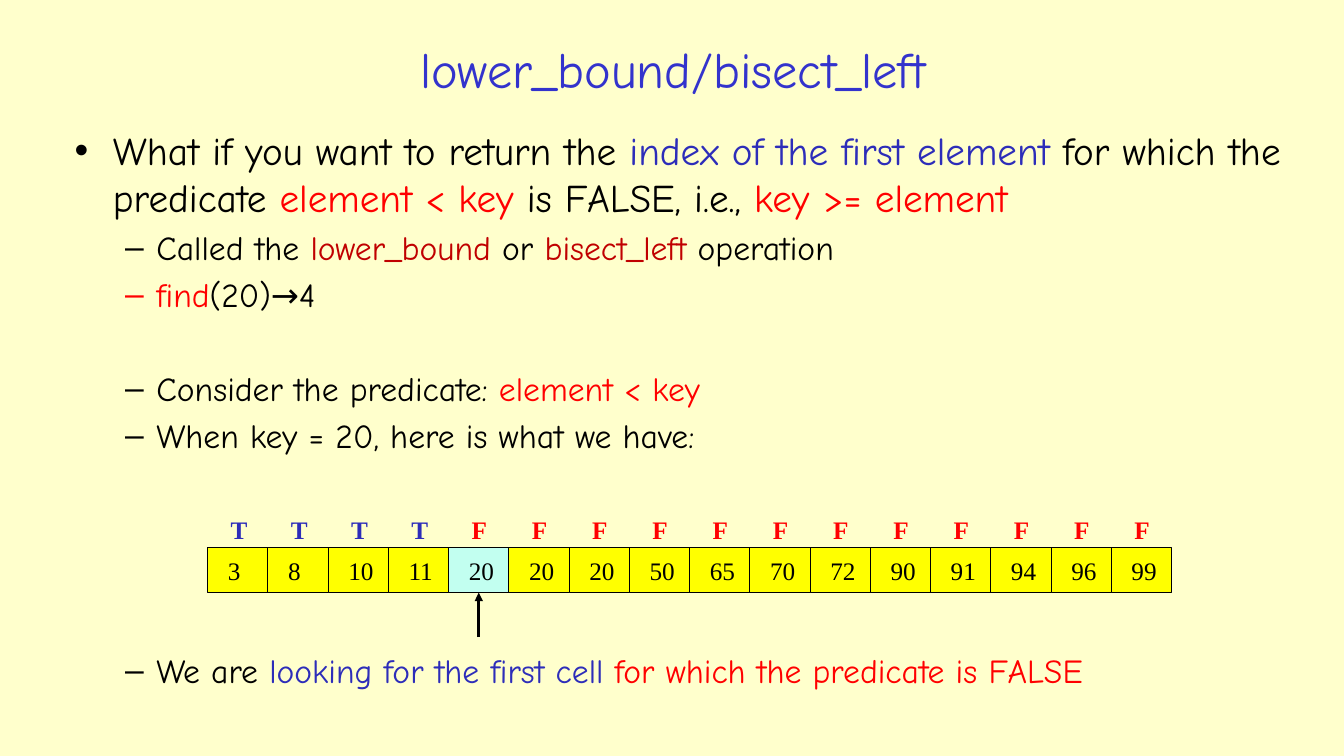
from lxml import etree
from pptx import Presentation
from pptx.dml.color import RGBColor
from pptx.enum import shapes, text
from pptx.oxml.ns import qn
from pptx.util import Inches, Pt

CREAM = RGBColor(0xFF, 0xFF, 0xCC)
TITLE_BLUE = RGBColor(0x33, 0x33, 0xCC)
BLUE = RGBColor(0x2D, 0x2D, 0xB9)
RED = RGBColor(0xFF, 0x00, 0x00)
DARK_RED = RGBColor(0xC0, 0x00, 0x00)
BLACK = RGBColor(0x00, 0x00, 0x00)
YELLOW = RGBColor(0xFF, 0xFF, 0x00)
AQUA = RGBColor(0xC2, 0xFF, 0xF0)

SANS = "Comic Neue"
SERIF = "Times New Roman"

KEY = 20
VALUES = [3, 8, 10, 11, 20, 20, 20, 50, 65, 70, 72, 90, 91, 94, 96, 99]

# Each point: level, space before in points, coloured runs.
POINTS = [
    (0, 0, [("What if you want to return the ", BLACK),
            ("index of the first element ", BLUE),
            ("for which the predicate ", BLACK),
            ("element < key ", RED),
            ("is FALSE, i.e., ", BLACK),
            ("key >= element", RED)]),
    (1, 4.8, [("Called the ", BLACK), ("lower_bound ", DARK_RED), ("or ", BLACK),
              ("bisect_left", DARK_RED), (" operation", BLACK)]),
    (1, 4.8, [("find", RED), ("(20)→4", BLACK)]),
    (1, 38.4, [("Consider the predicate: ", BLACK), ("element < key", RED)]),
    (1, 4.8, [("When key = 20, here is what we have:", BLACK)]),
    (1, 139.2, [("We are ", BLACK), ("looking for the first cell ", BLUE),
                ("for which the predicate is FALSE", RED)]),
]
# Per level: bullet, left margin, hanging indent, text size.
LEVELS = [("•", 0.38, 0.38, 28), ("–", 0.81, 0.31, 24)]


def place(shape, left, top, width, height):
    shape.left, shape.top = Inches(left), Inches(top)
    shape.width, shape.height = Inches(width), Inches(height)


def add_span(para, words, size, color, face, bold=False):
    span = para.add_run()
    span.text = words
    span.font.size = Pt(size)
    span.font.name = face
    span.font.bold = bold
    span.font.color.rgb = color


def set_bullet(para, mark, margin, hanging):
    properties = para._p.get_or_add_pPr()
    properties.set("marL", str(Inches(margin)))
    properties.set("indent", str(-Inches(hanging)))
    etree.SubElement(properties, qn("a:buChar")).set("char", mark)


def fill_title(title, left, top, width, height):
    place(title, left, top, width, height)
    title.text_frame.auto_size = text.MSO_AUTO_SIZE.NONE
    title.text_frame.vertical_anchor = text.MSO_ANCHOR.MIDDLE
    para = title.text_frame.paragraphs[0]
    para.alignment = text.PP_ALIGN.CENTER
    add_span(para, "lower_bound/bisect_left", 36, TITLE_BLUE, SANS)


def fill_points(body, left, top, width, height):
    place(body, left, top, width, height)
    frame = body.text_frame
    frame.auto_size = text.MSO_AUTO_SIZE.NONE
    for number, (level, before, spans) in enumerate(POINTS):
        para = frame.add_paragraph() if number else frame.paragraphs[0]
        mark, margin, hanging, size = LEVELS[level]
        para.level = level
        set_bullet(para, mark, margin, hanging)
        para.space_before = Pt(before)
        for words, color in spans:
            add_span(para, words, size, color, SANS)


def add_cell(page, value, color, left, top, width, height):
    cell = page.shapes.add_shape(shapes.MSO_SHAPE.RECTANGLE, Inches(left),
                                 Inches(top), Inches(width), Inches(height))
    cell.shadow.inherit = False
    cell.fill.solid()
    cell.fill.fore_color.rgb = color
    cell.line.color.rgb = BLACK
    cell.line.width = Pt(0.75)
    frame = cell.text_frame
    frame.word_wrap = False
    frame.margin_left = Inches(0.2)
    frame.margin_right = 0
    frame.vertical_anchor = text.MSO_ANCHOR.MIDDLE
    frame.paragraphs[0].alignment = text.PP_ALIGN.LEFT
    add_span(frame.paragraphs[0], str(value), 18, BLACK, SERIF)
    return cell


def add_verdict(page, holds, left, top):
    """Label one cell T or F for the predicate element < key."""
    box = page.shapes.add_textbox(Inches(left), Inches(top), Inches(0.36), Inches(0.4))
    box.text_frame.word_wrap = False
    add_span(box.text_frame.paragraphs[0], "T" if holds else "F", 18,
             BLUE if holds else RED, SERIF, bold=True)


def add_pointer(page, cell, length):
    """Point an arrow up at the bottom of the cell."""
    middle = cell.left + cell.width // 2
    bottom = cell.top + cell.height
    arrow = page.shapes.add_connector(shapes.MSO_CONNECTOR.STRAIGHT, middle,
                                      bottom + Inches(length), middle, bottom)
    arrow.end_connect(cell, 2)
    arrow.line.color.rgb = BLACK
    arrow.line.width = Pt(2)
    etree.SubElement(arrow.line._get_or_add_ln(), qn("a:tailEnd")).set("type", "triangle")
    etree.SubElement(arrow._element.spPr, qn("a:effectLst"))


def add_array(page, left, top, width, height):
    """Draw the sorted values, their verdicts and an arrow at the first F."""
    pitch = width / len(VALUES)
    first_false = VALUES.index(KEY)
    for index, value in enumerate(VALUES):
        cell_left = left + index * pitch
        color = AQUA if index == first_false else YELLOW
        cell = add_cell(page, value, color, cell_left, top, pitch, height)
        add_verdict(page, value < KEY, cell_left + 0.13, top - 0.38)
        if index == first_false:
            add_pointer(page, cell, 0.44)


def build_lower_bound_slide(deck):
    page = deck.slides.add_slide(deck.slide_layouts[1])
    page.background.fill.solid()
    page.background.fill.fore_color.rgb = CREAM
    fill_title(page.shapes.title, 0.64, 0.26, 12.08, 0.84)
    fill_points(page.placeholders[1], 0.64, 1.2, 12.23, 6.14)
    add_array(page, 2.06, 5.43, 9.56, 0.45)


def main():
    deck = Presentation()
    deck.slide_width, deck.slide_height = Inches(13.33), Inches(7.5)
    build_lower_bound_slide(deck)
    deck.save("out.pptx")


if __name__ == "__main__":
    main()
